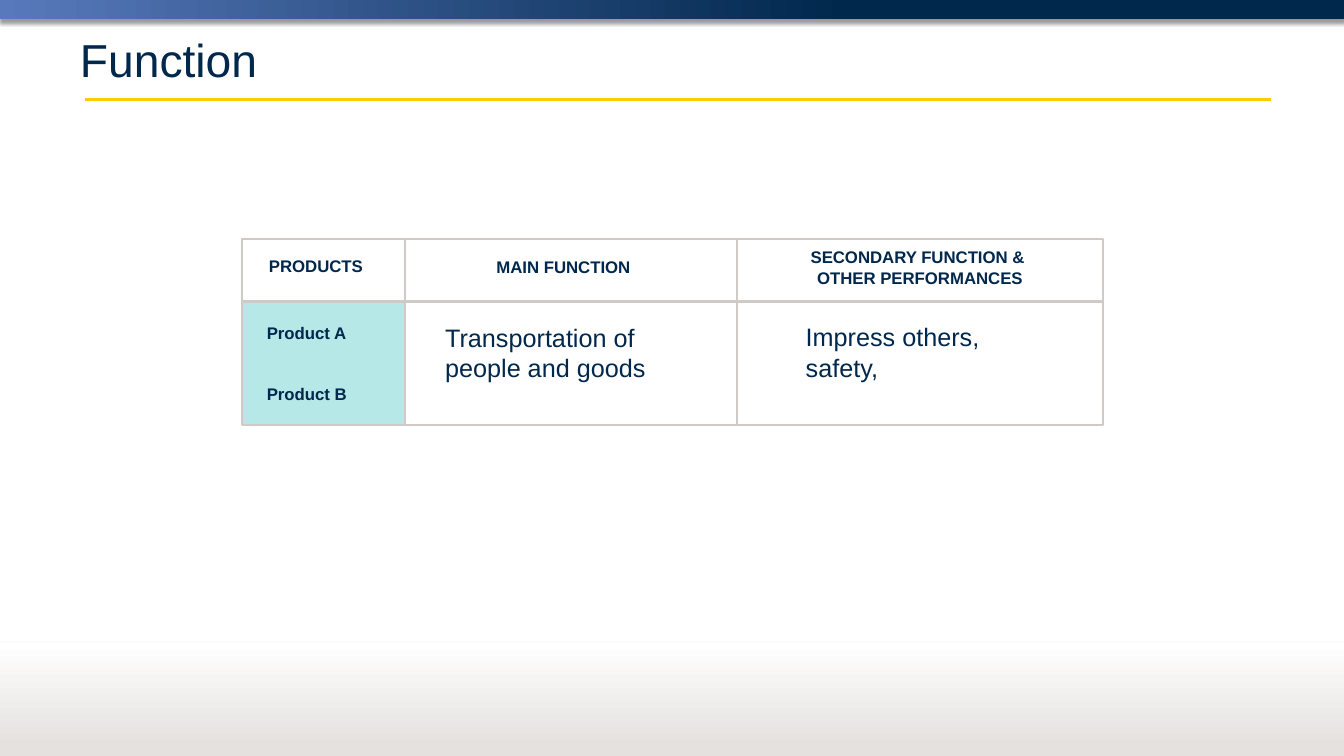
import pptx
import pptx.dml.color
import pptx.enum.shapes
import pptx.enum.text
import pptx.oxml
import pptx.oxml.ns
import pptx.util
from lxml import etree

Pt = pptx.util.Pt
RGB = pptx.dml.color.RGBColor.from_string
RECT = pptx.enum.shapes.MSO_SHAPE.RECTANGLE
STRAIGHT = pptx.enum.shapes.MSO_CONNECTOR.STRAIGHT
ANCHOR = pptx.enum.text.MSO_ANCHOR
ALIGN = pptx.enum.text.PP_ALIGN
qn = pptx.oxml.ns.qn
COLORS = {"navy": "00274C", "blue": "587ABC", "gold": "FFCB05", "teal": "00B2A9",
          "grid": "CFCAC6", "stone": "E4E1DF", "white": "FFFFFF", "black": "000000"}
W, H = 1280.16, 720

prs = pptx.Presentation()
prs.slide_width, prs.slide_height = Pt(W), Pt(H)
s = prs.slides.add_slide(prs.slide_layouts[6])


def add_rect(x, y, w, h, stops=None, angle=0):
    """Rectangle without line or shadow; stops are (percent, colour) pairs."""
    sp = s.shapes.add_shape(RECT, Pt(x), Pt(y), Pt(w), Pt(h))
    sp.shadow.inherit = False
    sp.line.fill.background()
    if stops:
        sp.fill.gradient()
        grad = sp._element.spPr.find(qn("a:gradFill"))
        gs_list = grad.find(qn("a:gsLst"))
        for gs in list(gs_list):
            gs_list.remove(gs)
        for pos, color in stops:
            gs = etree.SubElement(gs_list, qn("a:gs"), pos=str(pos * 1000))
            etree.SubElement(gs, qn("a:srgbClr"), val=COLORS[color])
        grad.find(qn("a:lin")).set("ang", str(angle * 60000))
    return sp


def add_line(x1, y1, x2, y2, color, width):
    cn = s.shapes.add_connector(STRAIGHT, Pt(x1), Pt(y1), Pt(x2), Pt(y2))
    cn.line.color.rgb = RGB(COLORS[color])
    cn.line.width = Pt(width)
    etree.SubElement(cn._element.spPr, qn("a:effectLst"))
    return cn


# Top band, title rule and footer
band = add_rect(0, 0, W, 18, [(0, "blue"), (63, "navy"), (100, "navy")])
add_line(80.64, 95, 1210.3, 95, "gold", 3)
add_rect(0, 612, W, 108, [(0, "stone"), (8, "stone"), (100, "white")], 270)
edge = add_line(0, 611.3, W, 611.3, "stone", 0.75)
clr = edge._element.spPr.find(".//" + qn("a:srgbClr"))
etree.SubElement(clr, qn("a:alpha"), val="30000")

# Soft shadows below the band and the footer edge
for sp, alpha, blur, dist in ((band, 40, 4, 3), (edge, 38, 3.1, 1.6)):
    effects = sp._element.spPr.find(qn("a:effectLst"))
    shadow = etree.SubElement(effects, qn("a:outerShdw"), blurRad=str(Pt(blur)),
                              dist=str(Pt(dist)), dir="5400000", rotWithShape="0")
    clr = etree.SubElement(shadow, qn("a:srgbClr"), val=COLORS["black"])
    etree.SubElement(clr, qn("a:alpha"), val=str(alpha * 1000))

# Function grid: tinted product cell, rules and frame
left, top, width, height = 230.4, 227.5, 820, 177.1
col_1, col_2, header = 385.9, 702, 287.5
sp = add_rect(left, header + 0.5, col_1 - left, 116.6)
sp.fill.solid()
sp.fill.fore_color.rgb = RGB(COLORS["teal"])
clr = sp._element.spPr.find(".//" + qn("a:srgbClr"))
etree.SubElement(clr, qn("a:alpha"), val="29000")
add_line(left, header, left + width, header, "grid", 3)
for x in (col_1, col_2):
    add_line(x, top, x, top + height, "grid", 2)
frame = add_rect(left, top, width, height)
frame.fill.background()
frame.line.color.rgb = RGB(COLORS["grid"])
frame.line.width = Pt(2)

# Title and cell texts: text, x, y, w, h, size, bold, indent, anchor, alignment
L, C, T, M = ALIGN.LEFT, ALIGN.CENTER, ANCHOR.TOP, ANCHOR.MIDDLE
texts = [
    ("Function", 69.1, 21.6, 1152, 68.4, 44, False, 0, M, L),
    ("PRODUCTS", 245.5, 239.8, 131.8, 26.6, 16, True, 3.6, T, L),
    ("MAIN FUNCTION", 462.2, 241.2, 159.1, 27.4, 16, True, 3.6, T, L),
    ("SECONDARY FUNCTION & \vOTHER PERFORMANCES", 700.6, 231.8, 347.8, 52.6, 16, True, 3.6, T, C),
    ("Product A", 243.4, 290.9, 131, 52.6, 16, True, 3.6, M, L),
    ("Product B", 243.4, 348.5, 131, 52.6, 16, True, 3.6, M, L),
    ("Transportation of people and goods", 413.3, 309.6, 236.2, 52.6, 24, False, 3.6, M, L),
    ("Impress others, safety,", 756.7, 308.9, 236.2, 52.6, 24, False, 3.6, M, L),
]
for text, x, y, w, h, size, bold, indent, anchor, align in texts:
    tf = s.shapes.add_textbox(Pt(x), Pt(y), Pt(w), Pt(h)).text_frame
    tf.word_wrap = True
    tf.vertical_anchor = anchor
    p = tf.paragraphs[0]
    p.text = text
    p.alignment = align
    p.font.name = "Arial"
    p.font.size = Pt(size)
    p.font.bold = bold
    p.font.color.rgb = RGB(COLORS["navy"])
    if indent:
        p._p.get_or_add_pPr().set("marL", str(Pt(indent)))

prs.save("out.pptx")
